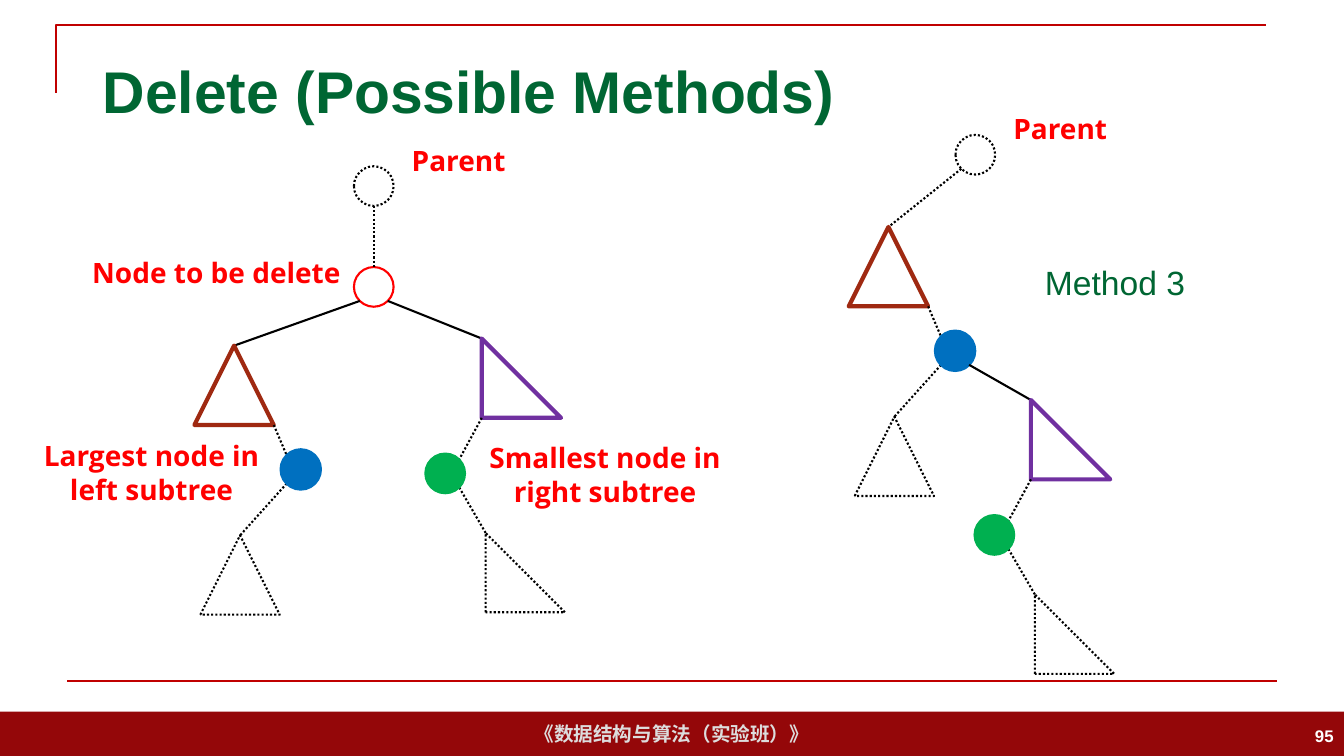
from lxml import etree
from pptx import Presentation
from pptx.dml.color import RGBColor
from pptx.enum.dml import MSO_LINE
from pptx.enum.shapes import MSO_CONNECTOR, MSO_SHAPE
from pptx.enum.text import MSO_ANCHOR, PP_ALIGN
from pptx.oxml.ns import qn
from pptx.util import Cm, Pt

DOT = MSO_LINE.ROUND_DOT
OVAL, TRIANGLE, RIGHT_TRIANGLE, RECT = (
    MSO_SHAPE.OVAL, MSO_SHAPE.ISOSCELES_TRIANGLE, MSO_SHAPE.RIGHT_TRIANGLE, MSO_SHAPE.RECTANGLE)
LEFT, CENTER, RIGHT = PP_ALIGN.LEFT, PP_ALIGN.CENTER, PP_ALIGN.RIGHT
TOP, MIDDLE = MSO_ANCHOR.TOP, MSO_ANCHOR.MIDDLE

# Content; all lengths in cm
COLORS = {"title": "006633", "label": "FF0000", "rule": "C00000", "footer": "940709",
          "footer_text": "DDDDDD", "page": "FFFFFF", "edge": "000000",
          "left": "9F2911", "right": "7030A0", "largest": "0070C0", "smallest": "00B050"}
FOOTER = "《数据结构与算法（实验班）》"
# text, (left, top, width, height), size, colour, bold, alignment, anchor
TEXTS = [
    ("Delete (Possible Methods)", (2.34, 1.02, 29.21, 2.51), 42, "title", True, LEFT, MIDDLE),
    ("Method 3", (25.6, 6.48, 5, 1.3), 24, "title", False, CENTER, TOP),
    ("95", (26.24, 18.03, 7.62, 1.02), 12, "page", True, RIGHT, MIDDLE),
]
# text, (left, top, width, height), wrap
LABELS = [
    ("Parent", (10.34, 3.61, 2.44, 0.86), False),
    ("Parent", (25.5, 2.82, 2.44, 0.86), False),
    ("Node to be delete", (2.13, 6.45, 6.65, 0.86), False),
    ("Largest node in left subtree", (0.71, 11.05, 6.22, 1.7), True),
    ("Smallest node in right subtree", (12.14, 11.1, 6.22, 1.7), True),
]
NODE, SUBTREE = 1.0, 2.0
PARENT, DELETED, MOVED_PARENT = (8.92, 4.19), (8.92, 6.73), (24.08, 3.4)
# Top left corners of the subtrees before and after the deletion
LEFT_BEFORE, LEFT_AFTER = (4.9, 8.71), (21.39, 5.72)
RIGHT_BEFORE, RIGHT_AFTER = (12.14, 8.53), (25.98, 10.08)

prs = Presentation()
prs.slide_width, prs.slide_height = Cm(33.87), Cm(19.05)
slide = prs.slides.add_slide(prs.slide_layouts[6])
shapes = slide.shapes


def rgb(name):
    return RGBColor.from_string(COLORS[name])


def style_line(line, color, width=1.5, dash=None):
    line.color.rgb = rgb(color)
    line.width = Pt(width)
    if dash:
        line.dash_style = dash


def write(frame, text, size, color, bold, align, anchor, font="Arial", wrap=True):
    frame.text = text
    frame.word_wrap = wrap
    frame.vertical_anchor = anchor
    paragraph = frame.paragraphs[0]
    paragraph.alignment = align
    run_font = paragraph.runs[0].font
    run_font.name, run_font.size, run_font.bold = font, Pt(size), bold
    run_font.color.rgb = rgb(color)


def text_box(box):
    return shapes.add_textbox(*map(Cm, box)).text_frame


def outline(kind, corner, size, color, width=1.5, dash=None, fill=None):
    part = shapes.add_shape(kind, *map(Cm, (*corner, size, size)))
    part.shadow.inherit = False
    if fill:
        part.fill.solid()
        part.fill.fore_color.rgb = rgb(fill)
    else:
        part.fill.background()
    style_line(part.line, color, width, dash)
    return part


def edge(start, end, color="edge", dash=None):
    link = shapes.add_connector(MSO_CONNECTOR.STRAIGHT, *map(Cm, (*start, *end)))
    style_line(link.line, color, dash=dash)
    etree.SubElement(link._element.spPr, qn("a:effectLst"))


def shift(point, dx, dy):
    return point[0] + dx, point[1] + dy


def rim(node, side_x, side_y):
    """Point on the circle's diagonal; sides are -1 or 1."""
    reach = NODE / 2 / 2 ** 0.5
    return shift(node, NODE / 2 + side_x * reach, NODE / 2 + side_y * reach)


def apex(corner):
    return shift(corner, SUBTREE / 2, 0)


def left_subtree(corner):
    largest, child = shift(corner, 2.18, 2.62), shift(corner, 0.15, 4.78)
    outline(TRIANGLE, corner, SUBTREE, "left", 3)
    edge(shift(corner, SUBTREE, SUBTREE), rim(largest, -1, -1), dash=DOT)
    edge(rim(largest, -1, 1), apex(child), dash=DOT)
    outline(OVAL, largest, NODE, "largest", 2, fill="largest")
    outline(TRIANGLE, child, SUBTREE, "edge", dash=DOT)
    return largest


def right_subtree(corner):
    smallest, child = shift(corner, -1.42, 2.9), shift(corner, 0.1, 4.9)
    outline(RIGHT_TRIANGLE, corner, SUBTREE, "right", 3)
    edge(shift(corner, 0, SUBTREE), rim(smallest, 1, -1), dash=DOT)
    edge(rim(smallest, 1, 1), child, dash=DOT)
    outline(OVAL, smallest, NODE, "smallest", fill="smallest")
    outline(TRIANGLE, child, SUBTREE, "edge", dash=DOT).adjustments[0] = 0


# Footer band and frame rules
band = shapes.add_shape(RECT, *map(Cm, (0, 17.93, 33.87, 1.12)))
band.shadow.inherit = False
band.fill.solid()
band.fill.fore_color.rgb = rgb("footer")
band.line.fill.background()
write(band.text_frame, FOOTER, 14, "footer_text", True, CENTER, MIDDLE, wrap=False)

bracket_path = shapes.build_freeform(Cm(1.42), Cm(2.34))
bracket_path.add_line_segments([(Cm(1.42), Cm(0.64)), (Cm(31.9), Cm(0.64))], close=False)
bracket = bracket_path.convert_to_shape()
bracket.shadow.inherit = False
bracket.fill.background()
style_line(bracket.line, "rule")
edge((1.7, 17.15), (32.18, 17.15), "rule")

# Tree before the deletion
outline(OVAL, PARENT, NODE, "edge", dash=DOT)
outline(OVAL, DELETED, NODE, "label")
edge(shift(PARENT, NODE / 2, NODE), shift(DELETED, NODE / 2, 0), dash=DOT)
edge(rim(DELETED, -1, 1), apex(LEFT_BEFORE))
edge(rim(DELETED, 1, 1), RIGHT_BEFORE)
left_subtree(LEFT_BEFORE)
right_subtree(RIGHT_BEFORE)

# Tree after the deletion: right subtree hangs from the largest left node
outline(OVAL, MOVED_PARENT, NODE, "edge", dash=DOT)
edge(rim(MOVED_PARENT, -1, 1), apex(LEFT_AFTER), dash=DOT)
largest_after = left_subtree(LEFT_AFTER)
edge(rim(largest_after, 1, 1), RIGHT_AFTER)
right_subtree(RIGHT_AFTER)

# Title, method name, page number and node labels
for text, box, *look in TEXTS:
    write(text_box(box), text, *look)
for text, box, wrap in LABELS:
    frame = text_box(box)
    frame.margin_left = frame.margin_right = frame.margin_top = frame.margin_bottom = 0
    write(frame, text, 20, "label", True, CENTER, TOP, "Open Sans", wrap)

prs.save("out.pptx")
